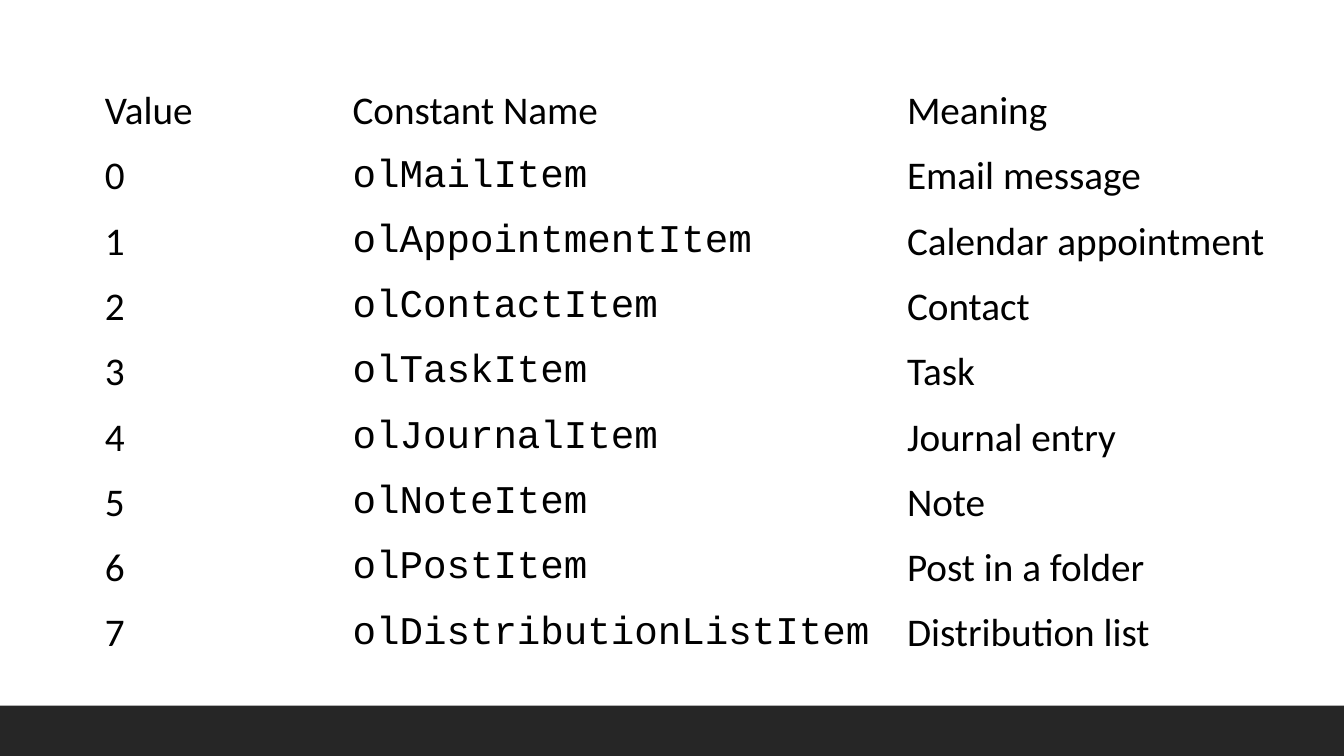
from pptx import Presentation
from pptx.dml.color import RGBColor
from pptx.enum.shapes import MSO_SHAPE
from pptx.enum.text import MSO_ANCHOR, PP_ALIGN
from pptx.util import Pt

RECT = MSO_SHAPE.RECTANGLE
MIDDLE = MSO_ANCHOR.MIDDLE
LEFT = PP_ALIGN.LEFT

BLACK = RGBColor(0x00, 0x00, 0x00)
WHITE = RGBColor(0xFF, 0xFF, 0xFF)
CHARCOAL = RGBColor(0x26, 0x26, 0x26)

SLIDE_W, SLIDE_H = 960, 540
FOOTER_H = 36
COL_WIDTHS = (177, 396, 286.5)
ROW_H = 46.65

HEADER = ("Value", "Constant Name", "Meaning")
ITEM_TYPES = (
    ("olMailItem", "Email message"),
    ("olAppointmentItem", "Calendar appointment"),
    ("olContactItem", "Contact"),
    ("olTaskItem", "Task"),
    ("olJournalItem", "Journal entry"),
    ("olNoteItem", "Note"),
    ("olPostItem", "Post in a folder"),
    ("olDistributionListItem", "Distribution list"),
)


def write(tf, text, font="Calibri", size=28, color=BLACK):
    p = tf.paragraphs[0]
    p.alignment = LEFT
    r = p.add_run()
    r.text = text
    r.font.name = font
    r.font.size = Pt(size)
    r.font.bold = False
    r.font.color.rgb = color


class SlideBuilder:
    body_font = "Calibri"
    code_font = "Courier New"

    def __init__(self, s):
        self.s = s

    def bar(self, x, y, w, h, color):
        sp = self.s.shapes.add_shape(RECT, Pt(x), Pt(y), Pt(w), Pt(h))
        sp.shadow.inherit = False
        sp.fill.solid()
        sp.fill.fore_color.rgb = color
        sp.line.fill.background()

    def table(self, x, y, widths, row_h, rows, code_col):
        """Plain table whose code_col is monospaced below the header."""
        frame = self.s.shapes.add_table(
            len(rows), len(widths), Pt(x), Pt(y),
            Pt(sum(widths)), Pt(row_h * len(rows)))
        table = frame.table
        table.first_row = table.horz_banding = False
        for column, width in zip(table.columns, widths):
            column.width = Pt(width)
        for i, values in enumerate(rows):
            table.rows[i].height = Pt(row_h)
            for j, value in enumerate(values):
                cell = table.cell(i, j)
                cell.fill.solid()
                cell.fill.fore_color.rgb = WHITE
                cell.vertical_anchor = MIDDLE
                is_code = i > 0 and j == code_col
                write(cell.text_frame, value,
                      font=self.code_font if is_code else self.body_font)


def main():
    prs = Presentation()
    prs.slide_width, prs.slide_height = Pt(SLIDE_W), Pt(SLIDE_H)
    builder = SlideBuilder(prs.slides.add_slide(prs.slide_layouts[6]))
    builder.bar(0, SLIDE_H - FOOTER_H, SLIDE_W, FOOTER_H, CHARCOAL)
    rows = [HEADER] + [(str(value), name, meaning)
                       for value, (name, meaning) in enumerate(ITEM_TYPES)]
    builder.table(67.7, 56.2, COL_WIDTHS, ROW_H, rows, code_col=1)
    prs.save("out.pptx")


if __name__ == "__main__":
    main()
